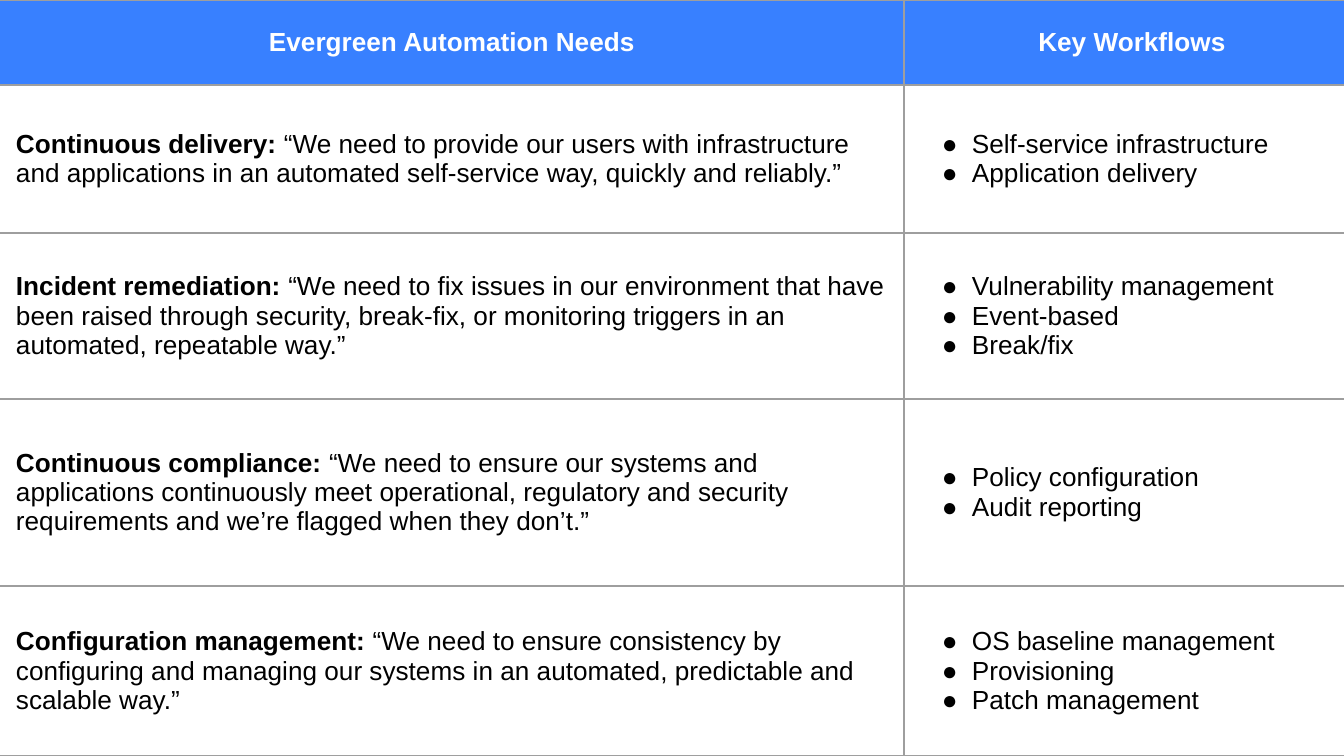
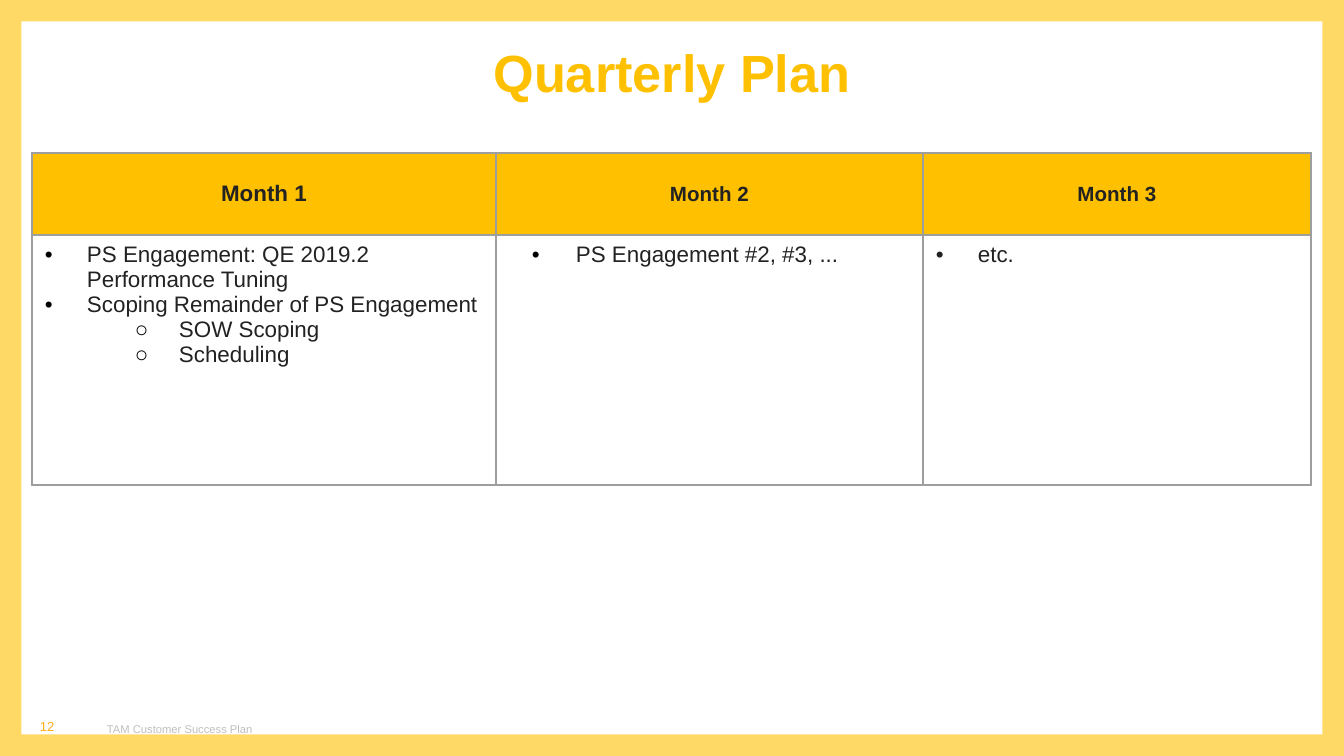
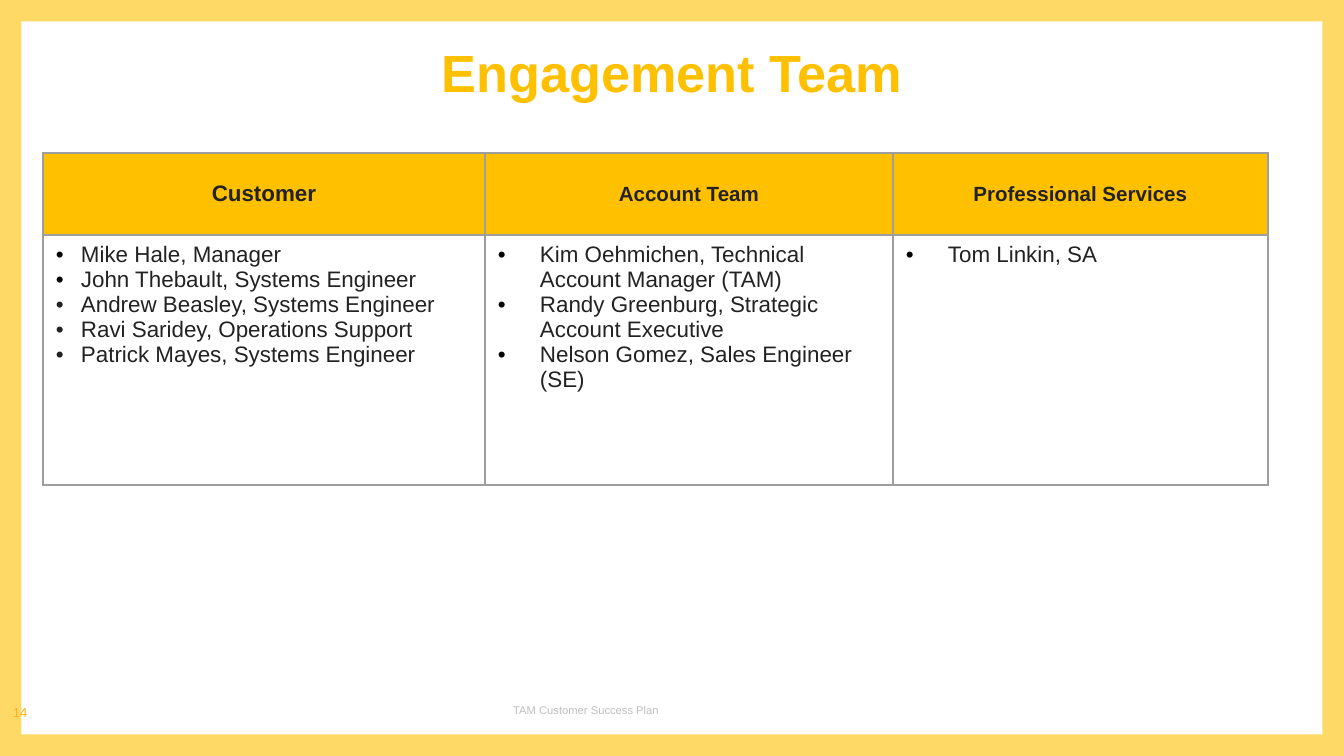
from dataclasses import dataclass

from lxml import etree
from pptx import Presentation
from pptx.dml.color import RGBColor
from pptx.enum.shapes import MSO_SHAPE
from pptx.enum.text import MSO_ANCHOR, PP_ALIGN
from pptx.oxml.ns import qn
from pptx.util import Emu, Pt

LEFT, CENTER = PP_ALIGN.LEFT, PP_ALIGN.CENTER
TOP, MIDDLE, BOTTOM = MSO_ANCHOR.TOP, MSO_ANCHOR.MIDDLE, MSO_ANCHOR.BOTTOM
RECTANGLE = MSO_SHAPE.RECTANGLE
BLANK_LAYOUT = 6
WIDTH, HEIGHT = 1344, 756
SCALE = 914400 / 134.4

WHITE, BLACK, INK = "FFFFFF", "000000", "222222"
BLUE, GOLD, PALE_GOLD = "3880FF", "FFC000", "FFD966"
GRID, FOOTER_GRAY, NUMBER_GOLD = "9E9E9E", "BFBFBF", "FFAD1A"

TIGHT = (7, 7, 7, 7)
WORKFLOW_INSETS = (34, 7, 7, 7)
STANDARD = (13, 7, 13, 7)


def px(length):
    return Emu(round(length * SCALE))


def rgb(value):
    return RGBColor.from_string(value)


def apply(target, values):
    for key, value in values.items():
        setattr(target, key, value)


def box_format(insets, anchor):
    left, top, right, bottom = map(px, insets)
    return {"margin_left": left, "margin_top": top, "margin_right": right,
            "margin_bottom": bottom, "vertical_anchor": anchor}


@dataclass
class Line:
    runs: list
    size: float
    color: str
    align: object = LEFT
    indent: tuple = (0, 0)
    bullet: str = ""
    bullet_color: str = BLACK
    level: int = 0
    spacing: float = 1.0


@dataclass
class Cell:
    lines: list
    insets: tuple
    anchor: object
    fill: str = ""


class Deck:
    font = "Arial"

    def __init__(self):
        self.prs = Presentation()
        apply(self.prs, {"slide_width": px(WIDTH), "slide_height": px(HEIGHT)})
        self.slide = None

    def add_slide(self, background):
        self.slide = self.prs.slides.add_slide(self.prs.slide_layouts[BLANK_LAYOUT])
        fill = self.slide.background.fill
        fill.solid()
        fill.fore_color.rgb = rgb(background)

    def panel(self, margin, color):
        panel = self.slide.shapes.add_shape(
            RECTANGLE, px(margin), px(margin),
            px(WIDTH - 2 * margin), px(HEIGHT - 2 * margin))
        panel.shadow.inherit = False
        panel.fill.solid()
        panel.fill.fore_color.rgb = rgb(color)
        panel.line.fill.background()

    def add_lines(self, frame, lines):
        for index, line in enumerate(lines):
            paragraph = frame.add_paragraph() if index else frame.paragraphs[0]
            apply(paragraph, {"alignment": line.align, "level": line.level,
                              "line_spacing": line.spacing})
            properties = paragraph._p.get_or_add_pPr()
            for key, length in zip(("marL", "indent"), line.indent):
                properties.set(key, str(px(length)))
            if line.bullet:
                tint = etree.SubElement(properties, qn("a:buClr"))
                etree.SubElement(tint, qn("a:srgbClr"), val=line.bullet_color)
                etree.SubElement(properties, qn("a:buFont"), typeface=self.font)
                etree.SubElement(properties, qn("a:buChar"), char=line.bullet)
            else:
                etree.SubElement(properties, qn("a:buNone"))
            for text, bold in line.runs:
                run = paragraph.add_run()
                run.text = text
                apply(run.font, {"name": self.font, "size": Pt(line.size), "bold": bold})
                run.font.color.rgb = rgb(line.color)

    def text(self, area, line, insets, anchor=TOP):
        frame = self.slide.shapes.add_textbox(*map(px, area)).text_frame
        apply(frame, {"word_wrap": True, **box_format(insets, anchor)})
        self.add_lines(frame, [line])

    def border(self, cell):
        properties = cell._tc.get_or_add_tcPr()
        for side in ("lnL", "lnR", "lnT", "lnB"):
            edge = etree.SubElement(properties, qn("a:" + side), w=str(Pt(0.75)))
            paint = etree.SubElement(edge, qn("a:solidFill"))
            etree.SubElement(paint, qn("a:srgbClr"), val=GRID)

    def table(self, left, top, widths, heights, rows):
        table = self.slide.shapes.add_table(
            len(heights), len(widths), px(left), px(top),
            px(sum(widths)), px(sum(heights))).table
        apply(table, {"first_row": False, "horz_banding": False})
        for column, width in zip(table.columns, widths):
            column.width = px(width)
        for row, height in zip(table.rows, heights):
            row.height = px(height)
        for r, row in enumerate(rows):
            for c, content in enumerate(row):
                cell = table.cell(r, c)
                apply(cell, box_format(content.insets, content.anchor))
                self.border(cell)
                if content.fill:
                    cell.fill.solid()
                    cell.fill.fore_color.rgb = rgb(content.fill)
                else:
                    cell.fill.background()
                self.add_lines(cell.text_frame, content.lines)

    def plan_slide(self, title, left, widths, headings, columns):
        self.add_slide(PALE_GOLD)
        self.panel(21.5, WHITE)
        header = [Cell([Line([(heading, True)], size, INK, CENTER)], STANDARD, MIDDLE, GOLD)
                  for heading, size in zip(headings, (12, 11, 11))]
        body = [Cell(lines, STANDARD, TOP) for lines in columns]
        self.table(left, 153, widths, (82, 250), [header, body])
        self.text((0, 0, WIDTH, 97),
                  Line([(title, True)], 28, GOLD, CENTER, spacing=0.9), (81, 47, 81, 0))

    def footer(self, number, number_insets, label_insets, anchor, align):
        self.text((94, 697, 984, 59),
                  Line([("TAM Customer Success Plan", False)], 6, FOOTER_GRAY, align),
                  label_insets, anchor)
        self.text((0, 697, 94, 59),
                  Line([(number, False)], 7, NUMBER_GOLD), number_insets, anchor)


def item(text, indent=(42, -42), bullet="•", bullet_color=BLACK, level=0):
    return Line([(text, False)], 12, INK, LEFT, indent, bullet, bullet_color, level)


def subitem(text):
    return item(text, (134, -44), "○", level=1)


def person(text, bullet_color=BLACK):
    return item(text, (25, -25), bullet_color=bullet_color)


def need_row(need, quote, workflows):
    statement = Line([(need, True), (" " + quote, False)], 14, BLACK, indent=(16, 0))
    tasks = [Line([(workflow, False)], 14, BLACK, indent=(34, -30), bullet="●")
             for workflow in workflows]
    return [Cell([statement], TIGHT, MIDDLE, WHITE),
            Cell(tasks, WORKFLOW_INSETS, MIDDLE, WHITE)]


NEEDS = [
    ("Continuous delivery:",
     "“We need to provide our users with infrastructure and applications in an "
     "automated self-service way, quickly and reliably.”",
     ["Self-service infrastructure", "Application delivery"]),
    ("Incident remediation:",
     "“We need to fix issues in our environment that have been raised through "
     "security, break-fix, or monitoring triggers in an automated, repeatable way.”",
     ["Vulnerability management", "Event-based", "Break/fix"]),
    ("Continuous compliance:",
     "“We need to ensure our systems and applications continuously meet operational, "
     "regulatory and security requirements and we’re flagged when they don’t.”",
     ["Policy configuration", "Audit reporting"]),
    ("Configuration management:",
     "“We need to ensure consistency by configuring and managing our systems in an "
     "automated, predictable and scalable way.”",
     ["OS baseline management", "Provisioning", "Patch management"]),
]

deck = Deck()

deck.add_slide(WHITE)
needs_header = [Cell([Line([(heading, True)], 14, WHITE, CENTER, indent)], TIGHT, MIDDLE, BLUE)
                for heading, indent in (("Evergreen Automation Needs", (8, -1)),
                                        ("Key Workflows", (8, 0)))]
deck.table(-7, 0, (911, 448), (85, 148, 166, 187, 170),
           [needs_header] + [need_row(*need) for need in NEEDS])

deck.plan_slide(
    "Quarterly Plan", 32, (464, 427, 388), ("Month 1", "Month 2", "Month 3"),
    [[item("PS Engagement: QE 2019.2 Performance Tuning"),
      item("Scoping Remainder of PS Engagement"),
      subitem("SOW Scoping"), subitem("Scheduling")],
     [item("PS Engagement #2, #3, ...", (67, -44))],
     [item("etc.", bullet_color=INK)]])
deck.footer("12", (40, 13, 27, 40), (13, 13, 13, 40), BOTTOM, LEFT)

deck.plan_slide(
    "Engagement Team", 43, (442, 408, 375),
    ("Customer", "Account Team", "Professional Services"),
    [[person("Mike Hale, Manager"),
      person("John Thebault, Systems Engineer"),
      person("Andrew Beasley, Systems Engineer", INK),
      person("Ravi Saridey, Operations Support", INK),
      person("Patrick Mayes, Systems Engineer", INK)],
     [item("Kim Oehmichen, Technical Account Manager (TAM)"),
      item("Randy Greenburg, Strategic Account Executive"),
      item("Nelson Gomez, Sales Engineer (SE)")],
     [item("Tom Linkin, SA")]])
deck.footer("14", STANDARD, STANDARD, TOP, CENTER)

deck.prs.save("out.pptx")
